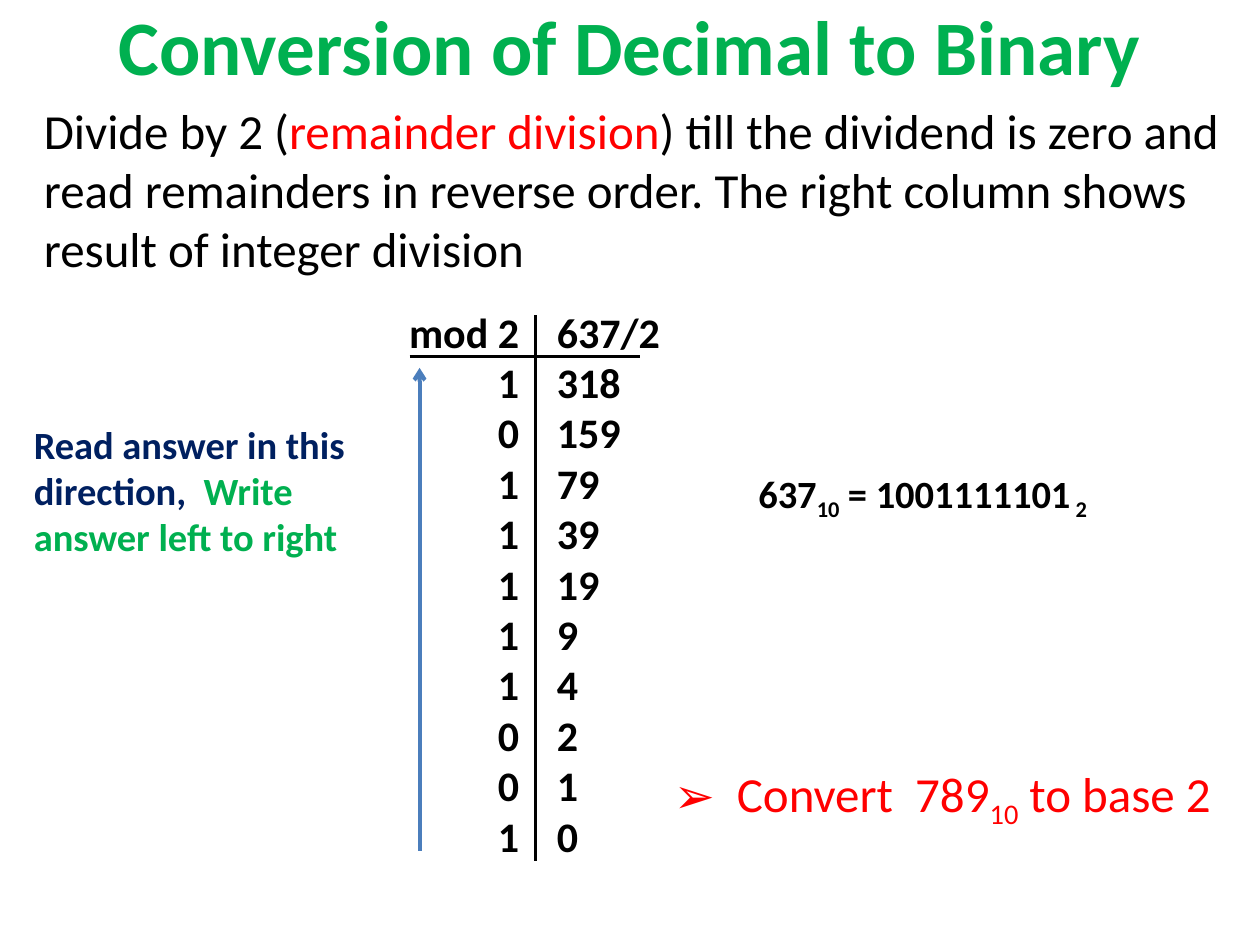
from lxml import etree
from pptx import Presentation
from pptx import util as u
from pptx.dml.color import RGBColor
from pptx.enum import shapes, text
from pptx.oxml import ns

WIDTH, HEIGHT = 10, 7.5
DIVIDER = 4.25
ROW_TOP, ROW_HEIGHT = 2.43, 0.4
BLACK, RED, GREEN, NAVY, BLUE = "000000", "FF0000", "00B050", "002060", "4B7EBC"
NUMBER = 637


def set_color(color_owner, value):
    color_owner.rgb = RGBColor.from_string(value)


def add_child(parent, tag, **attrs):
    return etree.SubElement(parent, ns.qn(tag), attrs)


def add_text(s, box, paragraphs, size, bold=False, align=text.PP_ALIGN.LEFT,
             anchor=text.MSO_ANCHOR.TOP, margins=(0.1, 0.05), grow=False, pitch=None):
    sp = s.shapes.add_textbox(*(u.Inches(v) for v in box))
    tf = sp.text_frame
    tf.word_wrap = True
    tf.vertical_anchor = anchor
    tf.margin_left = tf.margin_right = u.Inches(margins[0])
    tf.margin_top = tf.margin_bottom = u.Inches(margins[1])
    if grow:
        tf.auto_size = text.MSO_AUTO_SIZE.SHAPE_TO_FIT_TEXT
    for i, runs in enumerate(paragraphs):
        p = tf.add_paragraph() if i else tf.paragraphs[0]
        p.alignment = align
        p.font.name, p.font.size, p.font.bold = "Calibri", u.Pt(size), bold
        if pitch:
            p.line_spacing = u.Inches(pitch)
        for words, color, *subscript in runs:
            r = p.add_run()
            r.text = words
            set_color(r.font.color, color)
            if subscript:
                r._r.get_or_add_rPr().set("baseline", "-25000")
    return sp


def add_bullet(p, char, indent):
    pPr = p._p.get_or_add_pPr()
    pPr.set("marL", str(u.Inches(indent)))
    pPr.set("indent", str(-u.Inches(indent)))
    bullet = pPr.makeelement(ns.qn("a:buChar"), {"char": char})
    font = pPr.makeelement(ns.qn("a:buFont"), {"typeface": "Wingdings"})
    font.set("typeface", "Arial")
    pPr.insert_element_before(font, "a:tabLst", "a:defRPr", "a:extLst")
    pPr.insert_element_before(bullet, "a:tabLst", "a:defRPr", "a:extLst")


def add_line(s, start, end, color, width, arrow=False):
    points = (u.Inches(v) for v in (*start, *end))
    line = s.shapes.add_connector(shapes.MSO_CONNECTOR.STRAIGHT, *points)
    set_color(line.line.color, color)
    line.line.width = u.Pt(width)
    if arrow:
        add_child(line.line._get_or_add_ln(), "a:tailEnd", type="arrow")
    add_child(line._element.spPr, "a:effectLst")


def division_rows(number):
    rows = [("mod 2", f"{number}/2")]
    while number:
        number, remainder = divmod(number, 2)
        rows.append((str(remainder), str(number)))
    return rows


def add_division(s, rows):
    height = ROW_HEIGHT * len(rows)
    remainders, quotients = zip(*rows)
    columns = ((DIVIDER - 1.13, remainders, text.PP_ALIGN.RIGHT),
               (DIVIDER + 0.17, quotients, text.PP_ALIGN.LEFT))
    for left, values, align in columns:
        add_text(s, (left, ROW_TOP, 1, height), [[(v, BLACK)] for v in values],
                 24, True, align, margins=(0, 0), pitch=ROW_HEIGHT)
    rule = ROW_TOP + ROW_HEIGHT
    add_line(s, (DIVIDER, 2.5), (DIVIDER, ROW_TOP + height), BLACK, 2.25)
    add_line(s, (DIVIDER - 1, rule), (DIVIDER + 0.83, rule), BLACK, 1.5)
    add_line(s, (3.33, 6.75), (3.33, 2.92), BLUE, 2.25, arrow=True)


def main():
    prs = Presentation()
    prs.slide_width, prs.slide_height = u.Inches(WIDTH), u.Inches(HEIGHT)
    s = prs.slides.add_slide(prs.slide_layouts[6])
    add_text(s, (0.5, -0.08, WIDTH - 1, 0.87),
             [[("Conversion of Decimal to Binary", GREEN)]], 44, True,
             text.PP_ALIGN.CENTER, text.MSO_ANCHOR.MIDDLE)
    add_text(s, (0.25, 0.75, 9.58, 1.5),
             [[("Divide by 2 (", BLACK), ("remainder division", RED),
               (") till the dividend is zero and read remainders in reverse order. "
                "The right column shows result of integer division", BLACK)]], 28)
    add_division(s, division_rows(NUMBER))
    add_text(s, (0.17, 3.29, 2.75, 1.21),
             [[("Read answer in this direction,  ", NAVY),
               ("Write answer left to right", GREEN)]], 22, True, grow=True)
    add_text(s, (5.92, 3.68, 3.08, 0.47),
             [[(str(NUMBER), BLACK), ("10", BLACK, True),
               (f" = {NUMBER:b}", BLACK), (" 2", BLACK, True)]], 22, True, grow=True)
    exercise = add_text(s, (5.25, 6.01, 4.58, 0.57),
                        [[("Convert  789", RED), ("10", RED, True),
                          (" to base 2", RED)]], 28, grow=True)
    add_bullet(exercise.text_frame.paragraphs[0], "➢", 0.5)
    prs.save("out.pptx")


if __name__ == "__main__":
    main()
